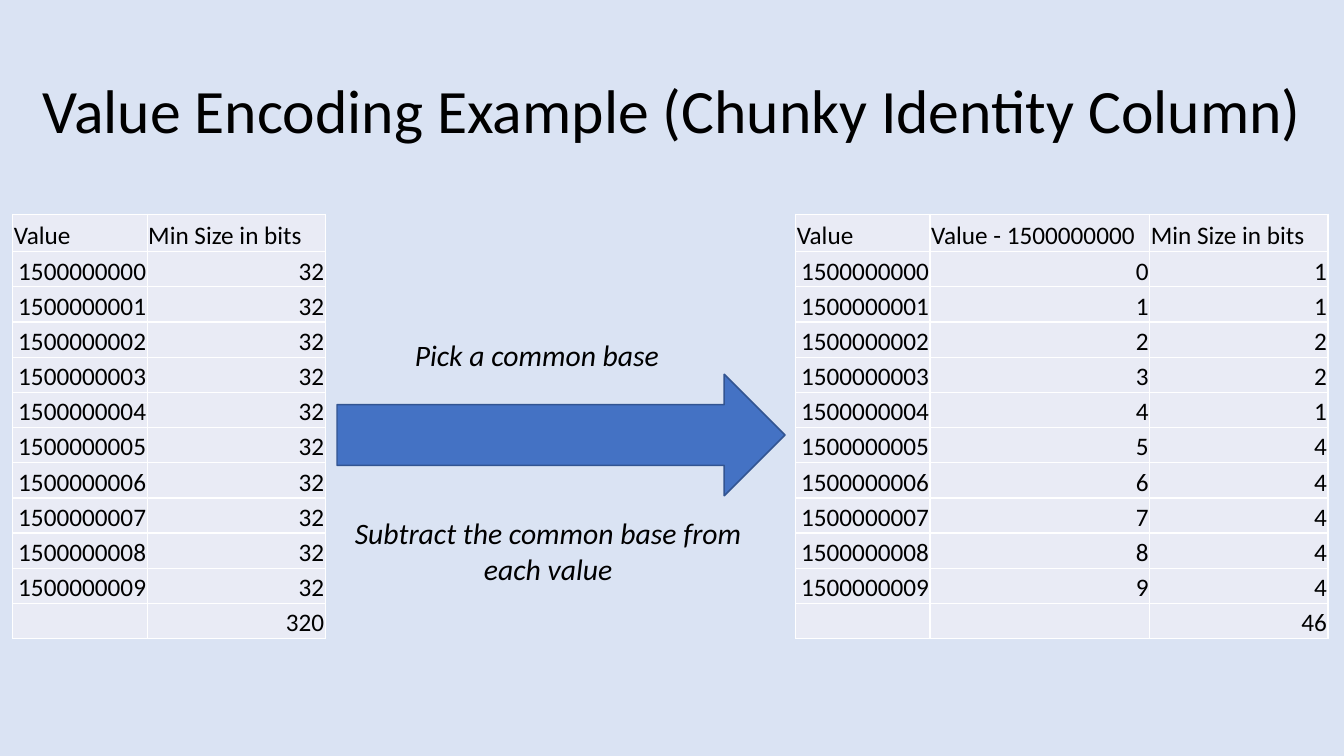
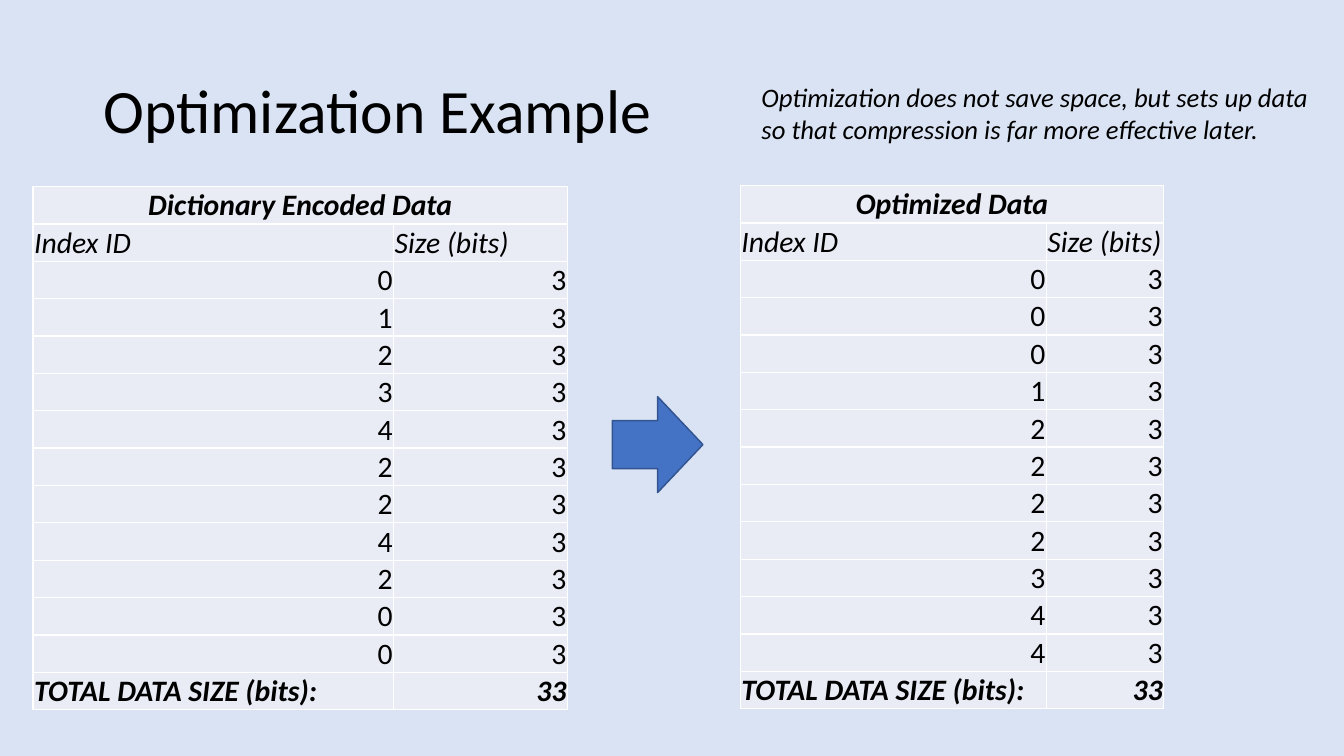
from dataclasses import dataclass

from lxml.etree import SubElement
from pptx import Presentation
from pptx.dml.color import RGBColor
from pptx.enum.shapes import MSO_SHAPE
from pptx.enum.text import MSO_ANCHOR, MSO_AUTO_SIZE, PP_ALIGN
from pptx.oxml.ns import qn
from pptx.util import Inches, Pt


@dataclass(frozen=True)
class Theme:
    font: str = "Calibri"
    background: str = "DAE3F3"
    text: str = "000000"
    arrow: str = "4472C4"
    arrow_line: str = "325491"
    cell: str = "E9EBF5"
    border: str = "FFFFFF"
    line_width: int = 1
    title_size: float = 41.6
    label_size: int = 20
    note_size: int = 18
    value_size: int = 17


THEME = Theme()
TITLE_ONLY = 5
BOLD_ITALIC, ITALIC, PLAIN = (True, True), (False, True), (False, False)


def rgb(hex_color):
    return RGBColor.from_string(hex_color)


def style_paragraph(p, size, align=PP_ALIGN.LEFT, bold=False, italic=False):
    p.alignment = align
    p.font.name = THEME.font
    p.font.size = Pt(size)
    p.font.color.rgb = rgb(THEME.text)
    p.font.bold = bold
    p.font.italic = italic


def add_titled_slide(prs, title, left, width):
    s = prs.slides.add_slide(prs.slide_layouts[TITLE_ONLY])
    sp = s.shapes.title
    sp.left, sp.top = Inches(left), Inches(0.38)
    sp.width, sp.height = Inches(width), Inches(1.37)
    tf = sp.text_frame
    tf.text = title
    tf.auto_size = MSO_AUTO_SIZE.NONE
    tf.vertical_anchor = MSO_ANCHOR.MIDDLE
    p = tf.paragraphs[0]
    style_paragraph(p, THEME.title_size)
    p.line_spacing = 0.9
    return s


def add_caption(s, box, lines, size, align=PP_ALIGN.LEFT):
    tf = s.shapes.add_textbox(*map(Inches, box)).text_frame
    tf.word_wrap = False
    tf.text = "\n".join(lines)
    for p in tf.paragraphs:
        style_paragraph(p, size, align, italic=True)


def add_right_arrow(s, box):
    sp = s.shapes.add_shape(MSO_SHAPE.RIGHT_ARROW, *map(Inches, box))
    sp.shadow.inherit = False
    sp.fill.solid()
    sp.fill.fore_color.rgb = rgb(THEME.arrow)
    sp.line.color.rgb = rgb(THEME.arrow_line)
    sp.line.width = Pt(THEME.line_width)


def set_borders(cell):
    tc_pr = cell._tc.get_or_add_tcPr()
    for i, side in enumerate(("a:lnL", "a:lnR", "a:lnT", "a:lnB")):
        ln = SubElement(tc_pr, qn(side), w=str(Pt(THEME.line_width)))
        fill = SubElement(ln, qn("a:solidFill"))
        SubElement(fill, qn("a:srgbClr"), val=THEME.border)
        tc_pr.insert(i, ln)  # borders must precede the cell fill


def fill_cell(cell, value, size, align, bold, italic):
    cell.fill.solid()
    cell.fill.fore_color.rgb = rgb(THEME.cell)
    set_borders(cell)
    cell.margin_left = cell.margin_right = cell.margin_top = Inches(0.01)
    cell.margin_bottom = 0
    cell.vertical_anchor = MSO_ANCHOR.BOTTOM
    cell.text = str(value)
    style_paragraph(cell.text_frame.paragraphs[0], size, align, bold, italic)


def add_grid(s, left, top, widths, heights, rows, size, styles):
    """Numbers go right, words left; a row with one value spans the table."""
    tbl = s.shapes.add_table(
        len(rows), len(widths), Inches(left), Inches(top),
        Inches(sum(widths)), Inches(sum(heights))).table
    tbl.first_row = tbl.horz_banding = False
    for column, width in zip(tbl.columns, widths):
        column.width = Inches(width)
    for r, (values, height, style) in enumerate(zip(rows, heights, styles)):
        tbl.rows[r].height = Inches(height)
        spans = len(values) == 1
        padded = values + [""] * (len(widths) - len(values))
        for c, value in enumerate(padded):
            align = PP_ALIGN.RIGHT if isinstance(value, int) else PP_ALIGN.LEFT
            if spans:
                align = PP_ALIGN.CENTER
            fill_cell(tbl.cell(r, c), value, size, align, *style)
        if spans:
            tbl.cell(r, 0).merge(tbl.cell(r, len(widths) - 1))


def add_value_table(s, left, widths, rows):
    heights = [0.35] + [0.33] * (len(rows) - 1)
    add_grid(s, left, 2.01, widths, heights, rows, THEME.value_size,
             [PLAIN] * len(rows))


def add_index_table(s, left, top, widths, heading, index_ids):
    bits = 3
    rows = [[heading], ["Index ID", "Size (bits)"]]
    rows += [[index_id, bits] for index_id in index_ids]
    rows.append(["TOTAL DATA SIZE (bits):", bits * len(index_ids)])
    styles = [BOLD_ITALIC, ITALIC] + [PLAIN] * len(index_ids) + [BOLD_ITALIC]
    add_grid(s, left, top, widths, [0.35] * len(rows), rows,
             THEME.label_size, styles)


def add_value_encoding_slide(prs):
    s = add_titled_slide(
        prs, "Value Encoding Example (Chunky Identity Column)", 0.3, 12.16)
    base, plain_bits = 1500000000, 32
    encoded_bits = [1, 1, 2, 2, 1, 4, 4, 4, 4, 4]
    count = len(encoded_bits)
    value_width, offset_width, size_width = 1.26, 2.06, 1.67

    plain = [["Value", "Min Size in bits"]]
    plain += [[base + i, plain_bits] for i in range(count)]
    plain.append(["", plain_bits * count])
    add_value_table(s, 0.12, [value_width, size_width], plain)

    encoded = [["Value", f"Value - {base}", "Min Size in bits"]]
    encoded += [[base + i, i, bits] for i, bits in enumerate(encoded_bits)]
    encoded.append(["", "", 46])
    add_value_table(s, 7.46, [value_width, offset_width, size_width], encoded)

    add_right_arrow(s, (3.16, 3.51, 4.2, 1.14))
    add_caption(s, (3.79, 3.11, 2.51, 0.44), ["Pick a common base"],
                THEME.label_size)
    add_caption(s, (3.21, 4.78, 3.86, 0.77),
                ["Subtract the common base from", "each value"],
                THEME.label_size, PP_ALIGN.CENTER)


def add_optimization_slide(prs):
    s = add_titled_slide(prs, "Optimization Example", 0.87, 10.87)
    index_ids = [0, 1, 2, 3, 4, 2, 2, 4, 2, 0, 0]
    add_index_table(s, 0.31, 1.75, [3.38, 1.63], "Dictionary Encoded Data",
                    index_ids)
    add_index_table(s, 6.94, 1.74, [2.87, 1.1], "Optimized Data",
                    sorted(index_ids))
    add_right_arrow(s, (5.74, 3.72, 0.85, 0.9))
    add_caption(s, (7.04, 0.71, 5.41, 0.71),
                ["Optimization does not save space, but sets up data",
                 "so that compression is far more effective later."],
                THEME.note_size)


def main():
    prs = Presentation()
    prs.slide_width, prs.slide_height = Inches(12.6), Inches(7.09)
    fill = prs.slide_master.background.fill
    fill.solid()
    fill.fore_color.rgb = rgb(THEME.background)
    add_value_encoding_slide(prs)
    add_optimization_slide(prs)
    prs.save("out.pptx")


if __name__ == "__main__":
    main()
